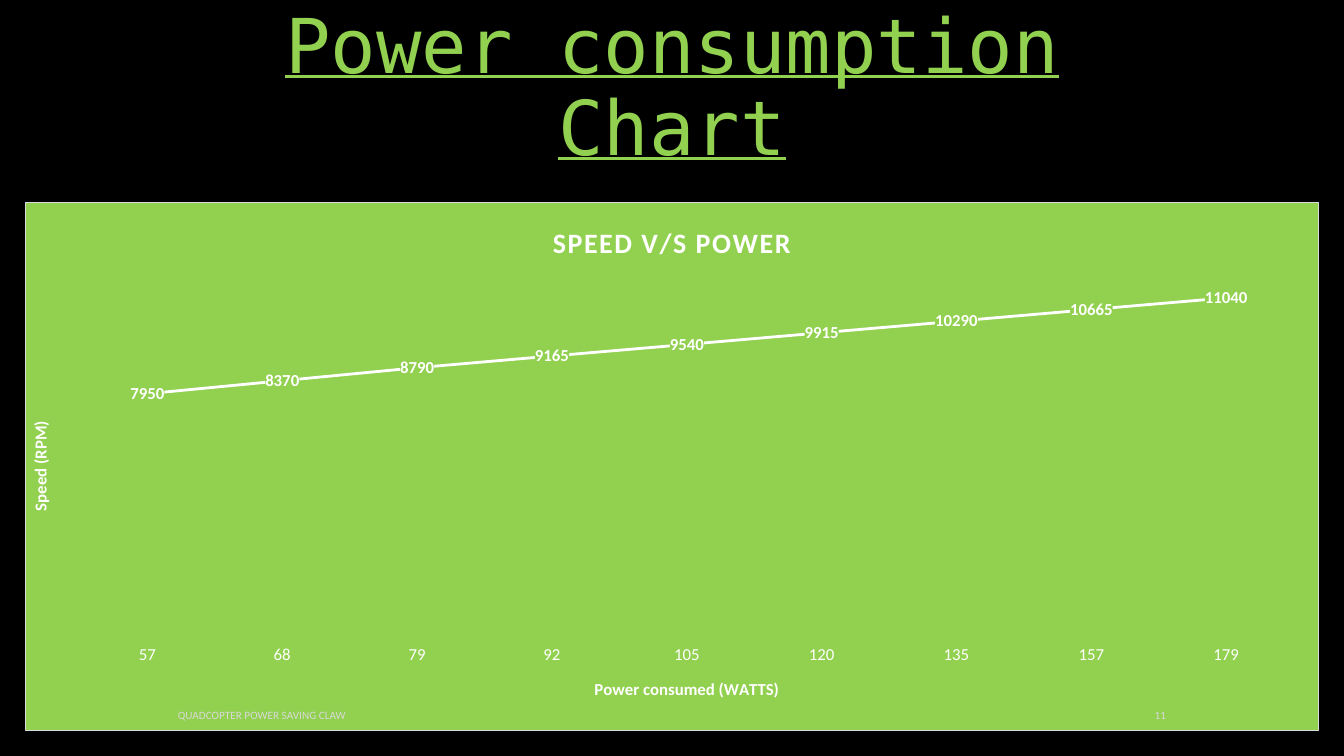
import pptx
import pptx.chart.data
import pptx.dml.color
import pptx.enum.chart
import pptx.enum.text
import pptx.oxml
import pptx.oxml.ns
import pptx.util

Pt = pptx.util.Pt
RGB = pptx.dml.color.RGBColor
ALIGN = pptx.enum.text.PP_ALIGN
ANCHOR = pptx.enum.text.MSO_ANCHOR
BLACK = RGB(0x00, 0x00, 0x00)
WHITE = RGB(0xFF, 0xFF, 0xFF)
GREEN = RGB(0x92, 0xD0, 0x50)
GREY = RGB(0xD9, 0xD9, 0xD9)
POWER = ["57", "68", "79", "92", "105", "120", "135", "157", "179"]
SPEED = [7950, 8370, 8790, 9165, 9540, 9915, 10290, 10665, 11040]


def write(tf, text, size, color=WHITE, font="Calibri", bold=False,
          underline=False, align=None, spacing=None):
    p = tf.paragraphs[0]
    p.alignment = align
    p.line_spacing = spacing
    r = p.add_run()
    r.text = text
    r.font.size = Pt(size)
    r.font.name = font
    r.font.bold = bold
    r.font.underline = underline
    r.font.color.rgb = color
    return r


def green_fill(line):
    return pptx.oxml.parse_xml(
        f'<c:spPr {ns}><a:solidFill><a:srgbClr val="{GREEN}"/></a:solidFill>'
        f'{line}</c:spPr>')


prs = pptx.Presentation()
prs.slide_width, prs.slide_height = Pt(960), Pt(540)
s = prs.slides.add_slide(prs.slide_layouts[6])
s.background.fill.solid()
s.background.fill.fore_color.rgb = BLACK
ns = pptx.oxml.ns.nsdecls("c", "a")

# Line chart
data = pptx.chart.data.CategoryChartData()
data.categories = POWER
data.add_series("Series 1", SPEED)
chart = s.shapes.add_chart(pptx.enum.chart.XL_CHART_TYPE.LINE, Pt(18), Pt(144),
                           Pt(924), Pt(378), data).chart
chart.has_legend = False
chart.font.size = Pt(10)
chart.font.name = "Calibri"
chart.font.color.rgb = WHITE

# Chart and axis titles
r = write(chart.chart_title.text_frame, "SPEED V/S POWER", 20, bold=True)
r.font._element.set("spc", "100")
cat, val = chart.category_axis, chart.value_axis
write(cat.axis_title.text_frame, "Power consumed (WATTS)", 12, bold=True)
tf = val.axis_title.text_frame
write(tf, "Speed (RPM)", 12, bold=True)
tf._txBody.bodyPr.set("rot", "-5400000")
tf._txBody.bodyPr.set("vert", "horz")

# Axes
cat.major_tick_mark = pptx.enum.chart.XL_TICK_MARK.NONE
cat.format.line.fill.background()
cat.tick_labels.font.size = Pt(12)
cat.tick_labels.font.name = "Calibri"
cat.tick_labels.font.color.rgb = WHITE
val.minimum_scale, val.maximum_scale = 0, 12000
val.has_major_gridlines = False
val.visible = False

# Series, and value labels filled so that the line stops at them
plot = chart.plots[0]
plot.vary_by_categories = False
speed = plot.series[0]
speed.smooth = False
speed.marker.style = pptx.enum.chart.XL_MARKER_STYLE.NONE
speed.format.line.color.rgb = WHITE
speed.format.line.width = Pt(2)
labels = speed.data_labels
labels.show_value = True
labels.position = pptx.enum.chart.XL_LABEL_POSITION.CENTER
labels.font.size = Pt(12)
labels.font.name = "Calibri"
labels.font.bold = True
labels.font.color.rgb = WHITE
labels._element.find(pptx.oxml.ns.qn("c:txPr")).addprevious(
    green_fill('<a:ln><a:noFill/></a:ln>'))

# Chart background and plot area layout
space = chart._chartSpace
space.chart.addnext(green_fill(
    f'<a:ln w="{Pt(0.75)}"><a:solidFill><a:srgbClr val="{GREY}"/>'
    '</a:solidFill></a:ln>'))
area = space.chart.plotArea
for old in area.findall(pptx.oxml.ns.qn("c:layout")):
    area.remove(old)
box = "".join(f'<c:{k} val="{v}"/>' for k, v in [
    ("layoutTarget", "inner"), ("xMode", "edge"), ("yMode", "edge"),
    ("x", 0.042), ("y", 0.125), ("w", 0.939), ("h", 0.705)])
area.insert(0, pptx.oxml.parse_xml(
    f'<c:layout {ns}><c:manualLayout>{box}</c:manualLayout></c:layout>'))

# Slide title, page number and footer
for text, place, anchor, style in [
    ("Power consumption Chart", (120, 36, 720, 90), ANCHOR.BOTTOM,
     dict(size=54, color=GREEN, font="DejaVu Sans Mono", underline=True,
          align=ALIGN.CENTER, spacing=0.9)),
    ("11", (774, 501, 66, 20), ANCHOR.MIDDLE,
     dict(size=8, color=GREY, align=ALIGN.RIGHT)),
    ("QUADCOPTER POWER SAVING CLAW", (120, 501, 542, 20), ANCHOR.MIDDLE,
     dict(size=8, color=GREY)),
]:
    tf = s.shapes.add_textbox(*map(Pt, place)).text_frame
    tf.word_wrap = True
    tf.vertical_anchor = anchor
    write(tf, text, **style)

prs.save("out.pptx")
